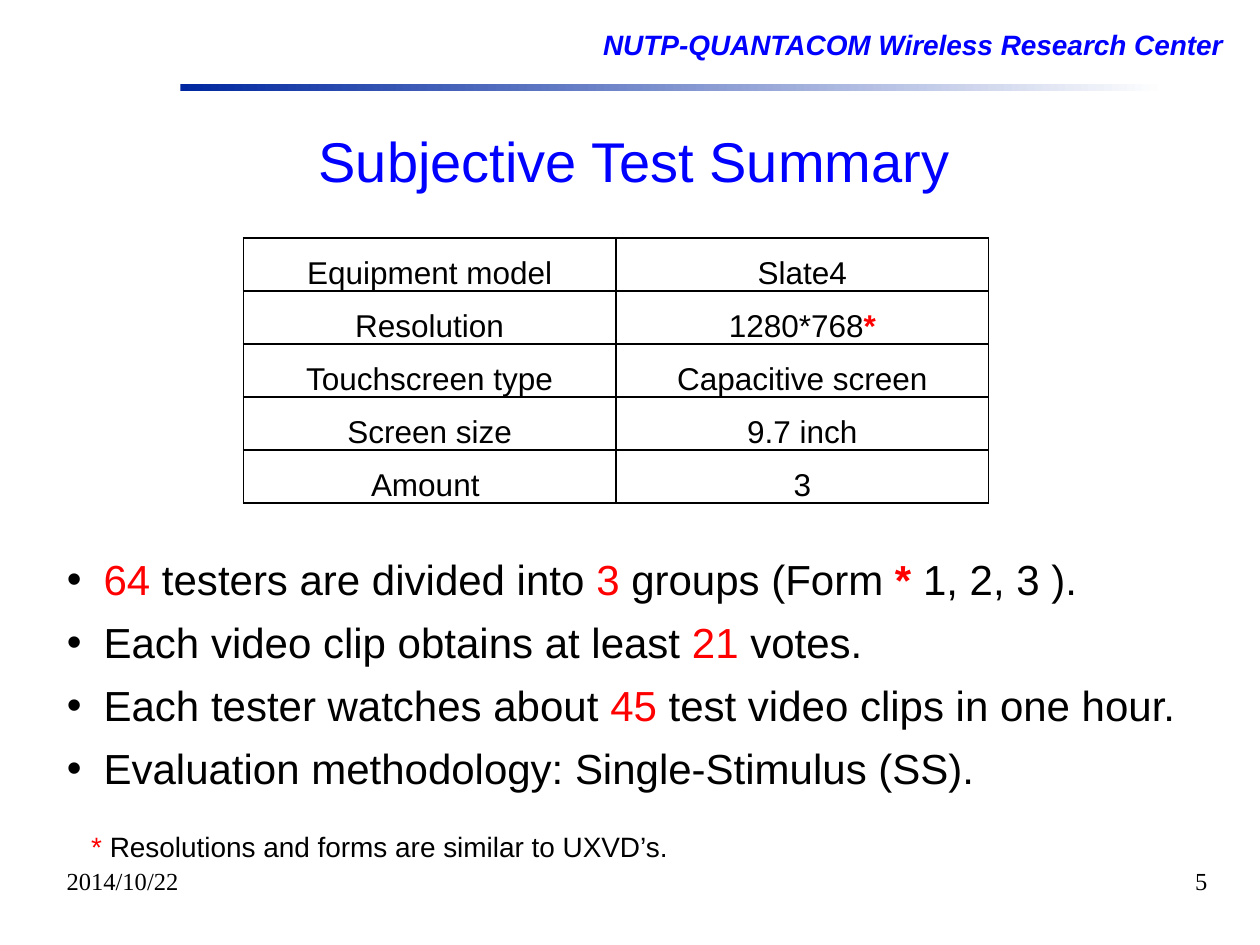
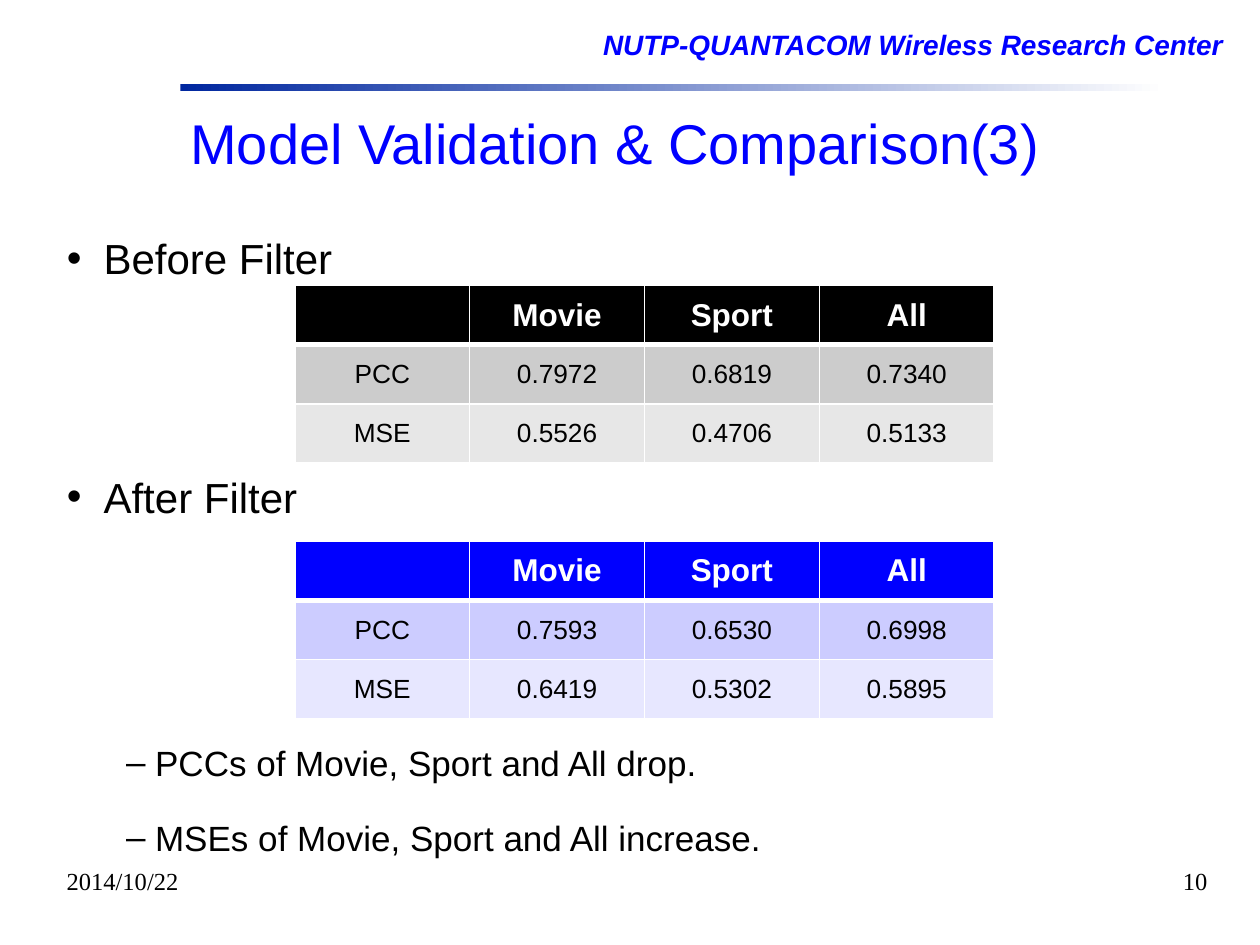
import pptx
import pptx.util
import pptx.dml.color
import pptx.enum.text
import pptx.enum.shapes
import pptx.oxml
import pptx.oxml.ns

Pt = pptx.util.Pt
ALIGN = pptx.enum.text.PP_ALIGN
ANCHOR = pptx.enum.text.MSO_ANCHOR
HUES = {"blue": "0000FF", "navy": "00279F", "black": "000000",
        "white": "FFFFFF", "red": "FF0000", "gray": "CCCCCC",
        "mist": "E7E7E7", "lilac": "CCCCFF", "pale": "E7E7FF"}
SANS, SERIF = "Arial", "Times New Roman"
DATE = "2014/10/22"


def color(hue):
    """Return the named colour."""
    return pptx.dml.color.RGBColor.from_string(HUES[hue])


def node(xml):
    """Parse one drawing element."""
    return pptx.oxml.parse_xml(xml.replace(" ", f" {pptx.oxml.ns.nsdecls('a')} ", 1))


def place(shape, box):
    """Move a shape to a box in points."""
    shape.left, shape.top, shape.width, shape.height = map(Pt, box)


def style(para, size, hue="black", face=SANS, align=None, bold=None):
    """Set the font and alignment of a paragraph."""
    font = para.font
    font.name, font.size, font.bold = face, Pt(size), bold
    font.color.rgb = color(hue)
    para.alignment = align


def write(para, text, bold=True):
    """Add runs; parts between bars are red, and red stars may be bold."""
    for i, part in enumerate(text.split("|")):
        if part:
            run = para.add_run()
            run.text = part
            if i % 2:
                run.font.color.rgb = color("red")
                run.font.bold = bold and part.strip() == "*" or None


def label(slide, box, text, size, face=SANS, align=None, hue="black"):
    """Add a one-line text box and return it."""
    shape = slide.shapes.add_textbox(*map(Pt, box))
    shape.text_frame.word_wrap = True
    para = shape.text_frame.paragraphs[0]
    write(para, text, bold=False)
    style(para, size, hue, face, align)
    return shape


def banner(slide, layout, box):
    """Put the centre's name and fading band on the layout."""
    left, top, width, height = box
    name = label(slide, (left + 162, top, width - 162, height - 8),
                 "NUTP-QUANTACOM Wireless Research Center", 16,
                 align=ALIGN.RIGHT, hue="blue")
    name.text_frame.margin_top = name.text_frame.margin_bottom = 0
    font = name.text_frame.paragraphs[0].font
    font.bold = font.italic = True
    band = slide.shapes.add_shape(
        pptx.enum.shapes.MSO_SHAPE.RECTANGLE,
        *map(Pt, (left, top + height - 4, width - 40, 4)))
    band.shadow.inherit = False
    band.line.fill.background()
    band.fill.gradient()
    band.fill.gradient_angle = 0
    for stop, hue, spot in zip(band.fill.gradient_stops, ("navy", "white"), (0, 1)):
        stop.color.rgb, stop.position = color(hue), spot
    for shape in (band, name):
        layout.shapes.element.append(shape.element)


def head(slide, box, text):
    """Fill the title placeholder."""
    title = slide.shapes.title
    place(title, box)
    frame = title.text_frame
    frame.text = text
    frame.auto_size = pptx.enum.text.MSO_AUTO_SIZE.NONE
    frame.vertical_anchor = ANCHOR.TOP
    frame.margin_left = frame.margin_right = frame.margin_top = frame.margin_bottom = 0
    style(frame.paragraphs[0], 32, "blue", align=ALIGN.CENTER)


def points(slide, box, items):
    """Fill the body with (level, space before, text) items."""
    body = slide.placeholders[1]
    place(body, box)
    frame = body.text_frame
    frame.auto_size = pptx.enum.text.MSO_AUTO_SIZE.NONE
    frame.vertical_anchor = ANCHOR.TOP
    for i, (level, gap, text) in enumerate(items):
        para = frame.add_paragraph() if i else frame.paragraphs[0]
        size, inset, hang, mark = ((24, 21, 21, "•"), (20, 50.4, 16.6, "–"))[level]
        para.level = level
        props = para._p.get_or_add_pPr()
        props.set("marL", str(Pt(inset)))
        props.set("indent", str(-Pt(hang)))
        props.append(node(f'<a:buClr ><a:srgbClr val="{HUES["black"]}"/></a:buClr>'))
        props.append(node(f'<a:buChar char="{mark}"/>'))
        para.line_spacing = 1.0
        para.space_before = Pt(gap)
        write(para, text)
        style(para, size)


def edge(cell, hue, **widths):
    """Draw cell borders, given by side letter in points."""
    props = cell._tc.get_or_add_tcPr()
    for side in "LRTB":
        props.append(node(
            f'<a:ln{side} w="{Pt(widths.get(side, 1))}"><a:solidFill>'
            f'<a:srgbClr val="{HUES[hue]}"/></a:solidFill></a:ln{side}>'))


def grid(slide, box, rows):
    """Add a table with even cells and yield (row, cell, paragraph)."""
    table = slide.shapes.add_table(len(rows), len(rows[0]), *map(Pt, box)).table
    table.first_row = table.horz_banding = False
    for row in table.rows:
        row.height = Pt(box[3] / len(rows))
    for r, texts in enumerate(rows):
        for c, text in enumerate(texts):
            cell = table.cell(r, c)
            cell.margin_left = cell.margin_right = Pt(5)
            cell.margin_top = cell.margin_bottom = 0
            para = cell.text_frame.paragraphs[0]
            write(para, text)
            yield r, cell, para


def specs(slide, box, rows):
    """Add the ruled table of equipment."""
    for _, cell, para in grid(slide, box, rows):
        cell.vertical_anchor = ANCHOR.BOTTOM
        style(para, 18, align=ALIGN.CENTER)
        edge(cell, "black")
        cell.fill.background()


def scores(slide, box, rows, fills):
    """Add a table of scores with one fill for each row."""
    for r, cell, para in grid(slide, box, [("", "Movie", "Sport", "All"), *rows]):
        top = r == 0
        cell.vertical_anchor = ANCHOR.MIDDLE
        style(para, 18 if top else 15, "white" if top else "black",
              align=ALIGN.CENTER, bold=top)
        edge(cell, "white", T=3 if r == 1 else 1, B=3 if top else 1)
        cell.fill.solid()
        cell.fill.fore_color.rgb = color(fills[r])


def foot(slide, box, page):
    """Add the date at left and the page number at right."""
    left, top, width, height = box
    label(slide, (left, top, 150, height), DATE, 14, SERIF)
    label(slide, (left + width - 150, top, 150, height), page, 14, SERIF, ALIGN.RIGHT)


def summary(slide):
    """Build the slide on the subjective test."""
    head(slide, (174, 72, 377, 37), "Subjective Test Summary")
    points(slide, (31, 312.7, 663, 160), [
        (0, 0, "|64| testers are divided into |3| groups (Form| *| 1, 2, 3 )."),
        (0, 7.2, "Each video clip obtains at least |21| votes."),
        (0, 7.2, "Each tester watches about |45| test video clips in one hour."),
        (0, 7.2, "Evaluation methodology: Single-Stimulus (SS).")])
    specs(slide, (139, 136, 426, 151.5), [
        ("Equipment model", "Slate4"), ("Resolution", "1280*768|*|"),
        ("Touchscreen type", "Capacitive screen"),
        ("Screen size", "9.7 inch"), ("Amount ", "3")])
    label(slide, (45, 470.5, 442, 27),
          "|*| Resolutions and forms are similar to UXVD’s.", 16)
    foot(slide, (31, 491.4, 666, 36), "5")


def compare(slide):
    """Build the slide on scores before and after the filter."""
    head(slide, (102.5, 62, 498, 37), "Model Validation & Comparison(3)")
    points(slide, (31, 129.5, 663, 377), [
        (0, 0, "Before Filter"), (0, 107.3, "After Filter"),
        (1, 126, "PCCs of Movie, Sport and All drop."),
        (1, 18.7, "MSEs of Movie, Sport and All increase.")])
    scores(slide, (168.5, 163.2, 399.6, 101.4),
           [("PCC", "0.7972", "0.6819", "0.7340"),
            ("MSE", "0.5526", "0.4706", "0.5133")], ("black", "gray", "mist"))
    scores(slide, (168.5, 309.3, 399.6, 101.4),
           [("PCC", "0.7593", "0.6530", "0.6998"),
            ("MSE", "0.6419", "0.5302", "0.5895")], ("blue", "lilac", "pale"))
    foot(slide, (31, 491.4, 666, 36), "10")


def main():
    """Build and save the deck."""
    deck = pptx.Presentation()
    deck.slide_width, deck.slide_height = Pt(720), Pt(540)
    layout = deck.slide_layouts[1]
    first, second = (deck.slides.add_slide(layout) for _ in range(2))
    banner(first, layout, (103, 16, 603, 36))
    summary(first)
    compare(second)
    deck.save("out.pptx")


if __name__ == "__main__":
    main()
